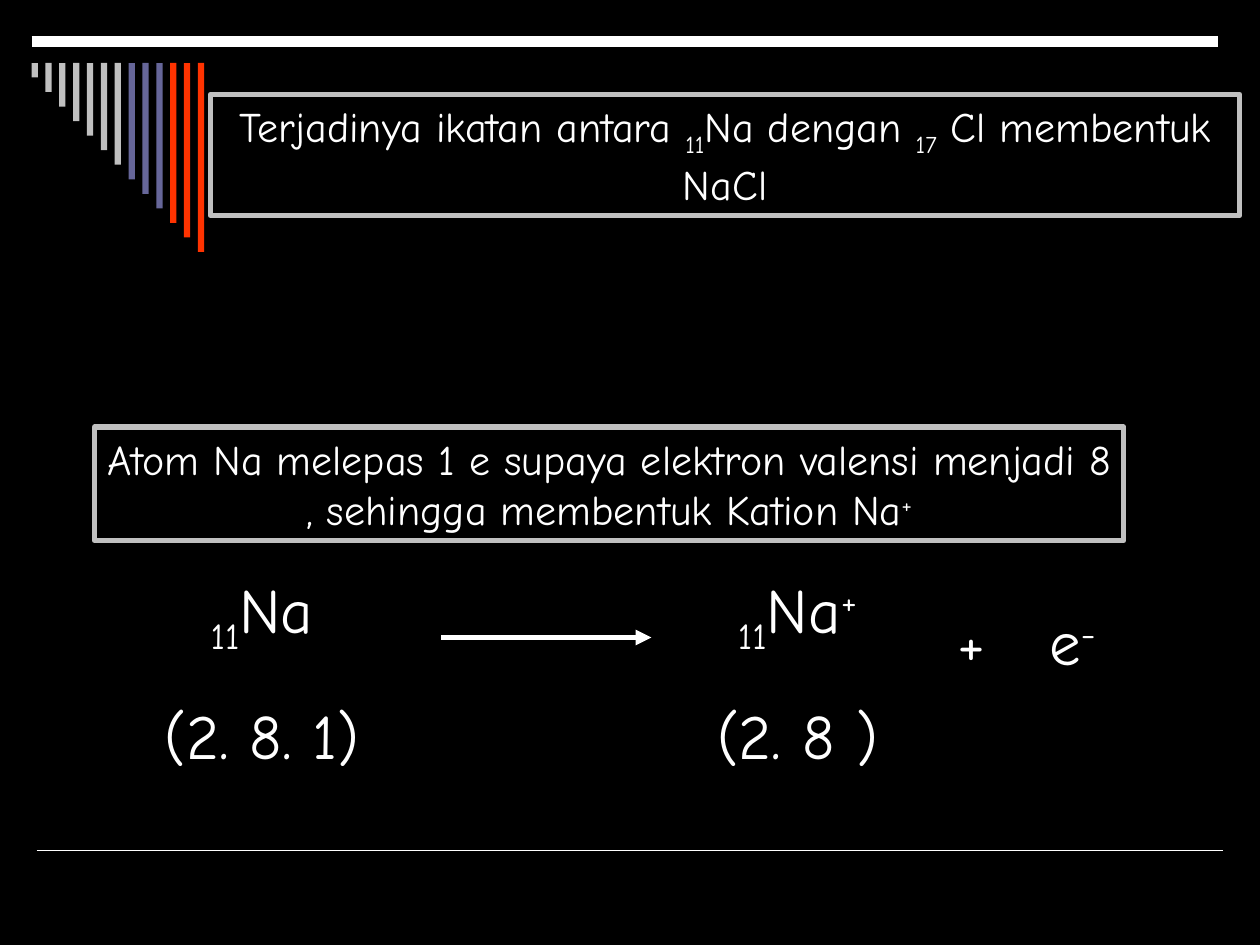
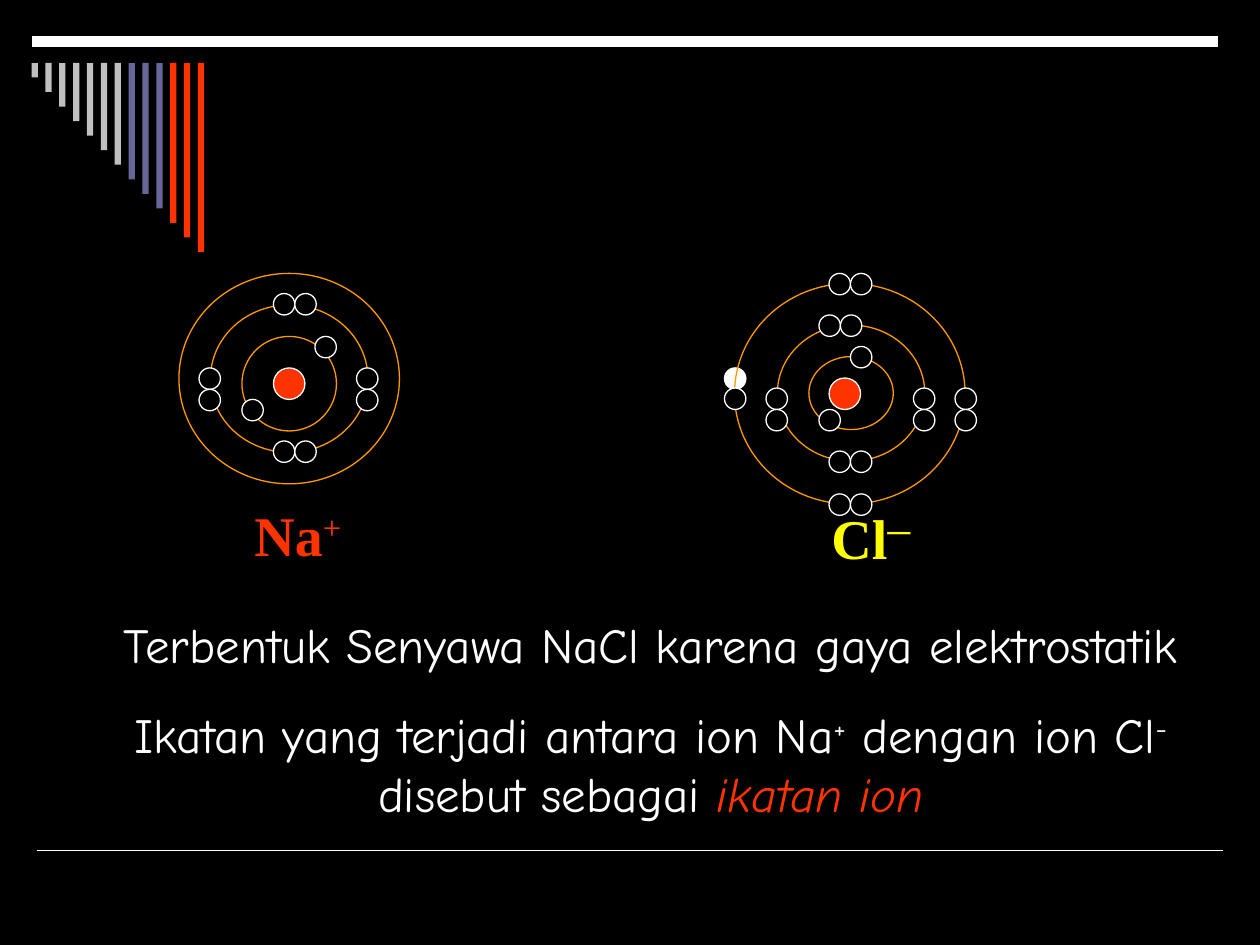
"""Build two slides on how the ionic bond in NaCl forms."""
from lxml.etree import SubElement
from pptx import Presentation
from pptx.dml.color import RGBColor as RGB
from pptx.enum.shapes import MSO_CONNECTOR as LINE, MSO_SHAPE as SHAPE
from pptx.enum.text import MSO_ANCHOR as ANCHOR, MSO_AUTO_SIZE as AUTO, PP_ALIGN as ALIGN
from pptx.oxml.ns import qn
from pptx.util import Inches, Pt

HUES = {"black": "000000", "white": "FFFFFF", "gray": "C0C0C0", "slate": "666699",
        "red": "FF3300", "orange": "FF9900", "yellow": "FFFF00"}
INK = {name: RGB.from_string(code) for name, code in HUES.items()}
FONT = "Comic Neue"
SUB, SUP = -25000, 30000
DOT = 0.17


def draw(slide, kind, at, fill=None, line=None):
    """Add a preset shape with an optional fill and thin outline."""
    shape = slide.shapes.add_shape(kind, *map(Inches, at))
    shape.shadow.inherit = False
    if fill:
        shape.fill.solid()
        shape.fill.fore_color.rgb = INK[fill]
    else:
        shape.fill.background()
    if line:
        shape.line.color.rgb = INK[line]
        shape.line.width = Pt(0.75)
    else:
        shape.line.fill.background()
    return shape


def write(box, paras, size, ink="white", font=FONT, align=ALIGN.CENTER, gap=0, tab=None):
    """Fill a box with paragraphs made of (text, baseline) runs."""
    frame = box.text_frame
    frame.word_wrap = True
    frame.auto_size = AUTO.NONE
    frame.vertical_anchor = ANCHOR.TOP
    for i, runs in enumerate(paras):
        para = frame.add_paragraph() if i else frame.paragraphs[0]
        para.alignment = align
        if i:
            para.space_before = Pt(gap)
        if tab:
            stops = SubElement(para._p.get_or_add_pPr(), qn("a:tabLst"))
            SubElement(stops, qn("a:tab"), pos=str(Inches(tab)), algn="l")
        para.font.name = font
        para.font.size = Pt(size)
        para.font.color.rgb = INK[ink]
        for text, base in runs:
            run = para.add_run()
            run.text = text
            if base:
                run._r.get_or_add_rPr().set("baseline", str(base))
    return frame


deck = Presentation()
deck.slide_width, deck.slide_height = Inches(10), Inches(7.5)
back = deck.slide_master.background.fill
back.solid()
back.fore_color.rgb = INK["black"]
first = deck.slides.add_slide(deck.slide_layouts[5])
last = deck.slides.add_slide(deck.slide_layouts[6])

rules = [(slide, *rule) for slide in (first, last)
         for rule in ((0.29, 9.71, 6.75, 1), (0.25, 9.67, 0.33, 6))]
rules.append((first, 3.5, 5.17, 5.06, 3))
for slide, left, right, top, width in rules:
    rule = slide.shapes.add_connector(
        LINE.STRAIGHT, Inches(left), Inches(top), Inches(right), Inches(top))
    rule.line.color.rgb = INK["white"]
    rule.line.width = Pt(width)
    SubElement(rule._element.spPr, qn("a:effectLst"))
SubElement(rule.line._get_or_add_ln(), qn("a:tailEnd"), type="triangle")

bars = ["gray"] * 7 + ["slate"] * 3 + ["red"] * 3
for slide in (first, last):
    for i, hue in enumerate(bars):
        at = (0.25 + 0.11 * i, 0.5, 0.05, 1.5 * (i + 1) / len(bars))
        draw(slide, SHAPE.RECTANGLE, at, hue)

title = first.shapes.title
title.left, title.top, title.width, title.height = map(Inches, (1.67, 0.75, 8.17, 0.96))
write(title, [[("Terjadinya ikatan antara ", 0), ("11", SUB), ("Na dengan ", 0),
               ("17", SUB), (" Cl membentuk NaCl", 0)]], 24)
note = draw(first, SHAPE.RECTANGLE, (0.75, 3.39, 8.17, 0.9))
write(note, [[("Atom Na melepas 1 e supaya elektron valensi menjadi 8 , "
               "sehingga membentuk Kation Na", 0), ("+", SUP)]], 24)
for box in (title, note):
    box.line.color.rgb = INK["gray"]
    box.line.width = Pt(3)

atom = [[("11", SUB), ("Na", 0)], [("(2. 8. 1)", 0)]]
cation = [[("11", SUB), ("Na", 0), ("+", SUP)], [("(2. 8 )", 0)]]
for left, paras in ((0.83, atom), (5.08, cation)):
    box = first.shapes.add_textbox(Inches(left), Inches(4.48), Inches(2.5), Inches(1.7))
    write(box, paras, 36, gap=22.5)
box = first.shapes.add_textbox(Inches(7.5), Inches(4.73), Inches(1.33), Inches(0.7))
write(box, [[("+\te", 0), ("-", SUP)]], 36, align=ALIGN.LEFT, tab=0.73)

draw(last, SHAPE.OVAL, (5.75, 2.92, DOT, DOT), "white", "white")
rings = [(1.42, 2.17, 1.75, 1.67), (1.67, 2.42, 1.25, 1.17), (1.92, 2.67, 0.75, 0.75),
         (5.83, 2.25, 1.83, 1.75), (6.17, 2.58, 1.17, 1.08), (6.42, 2.83, 0.67, 0.58)]
for at in rings:
    draw(last, SHAPE.OVAL, at, line="orange")
for left, top in ((2.17, 2.92), (6.58, 3)):
    draw(last, SHAPE.OVAL, (left, top, 0.25, 0.25), "red", "white")

wide = [(2.17, 2.33), (2.17, 3.5), (6.58, 2.17), (6.58, 3.92), (6.5, 2.5), (6.58, 3.58)]
tall = [(1.58, 2.92), (2.83, 2.92), (7.58, 3.08), (6.08, 3.08), (7.25, 3.08)]
dots = [(1.92, 3.17), (2.5, 2.67), (6.5, 3.25), (6.75, 2.75), (5.75, 3.08)]
dots += [(x + step, y) for x, y in wide for step in (0, DOT)]
dots += [(x, y + step) for x, y in tall for step in (0, DOT)]
for x, y in dots:
    draw(last, SHAPE.OVAL, (x, y, DOT, DOT), "black", "white")

ions = [("Na", "+", "red", 1.92, 3.92, 0.92), ("Cl", "─", "yellow", 6.5, 3.95, 1.25)]
for name, sign, hue, left, top, width in ions:
    box = last.shapes.add_textbox(Inches(left), Inches(top), Inches(width), Inches(0.64))
    frame = write(box, [[(name, 0), (sign, SUP)]], 32, hue, "Times New Roman", ALIGN.LEFT)
    symbol, charge = frame.paragraphs[0].runs
    symbol.font.bold = True
    charge.font.bold = name == "Cl"
    if name == "Cl":
        charge.font.name = "Arial"

box = last.shapes.add_textbox(Inches(0.33), Inches(4.83), Inches(9.67), Inches(1.75))
frame = write(box, [
    [("Terbentuk Senyawa NaCl karena gaya elektrostatik", 0)],
    [("Ikatan yang terjadi antara ion Na", 0), ("+", SUP), (" dengan ion Cl", 0),
     ("-", SUP), (" disebut sebagai ", 0), ("ikatan ion", 0)]], 28, gap=17.5)
term = frame.paragraphs[1].runs[-1].font
term.italic = True
term.color.rgb = INK["red"]

deck.save("out.pptx")
